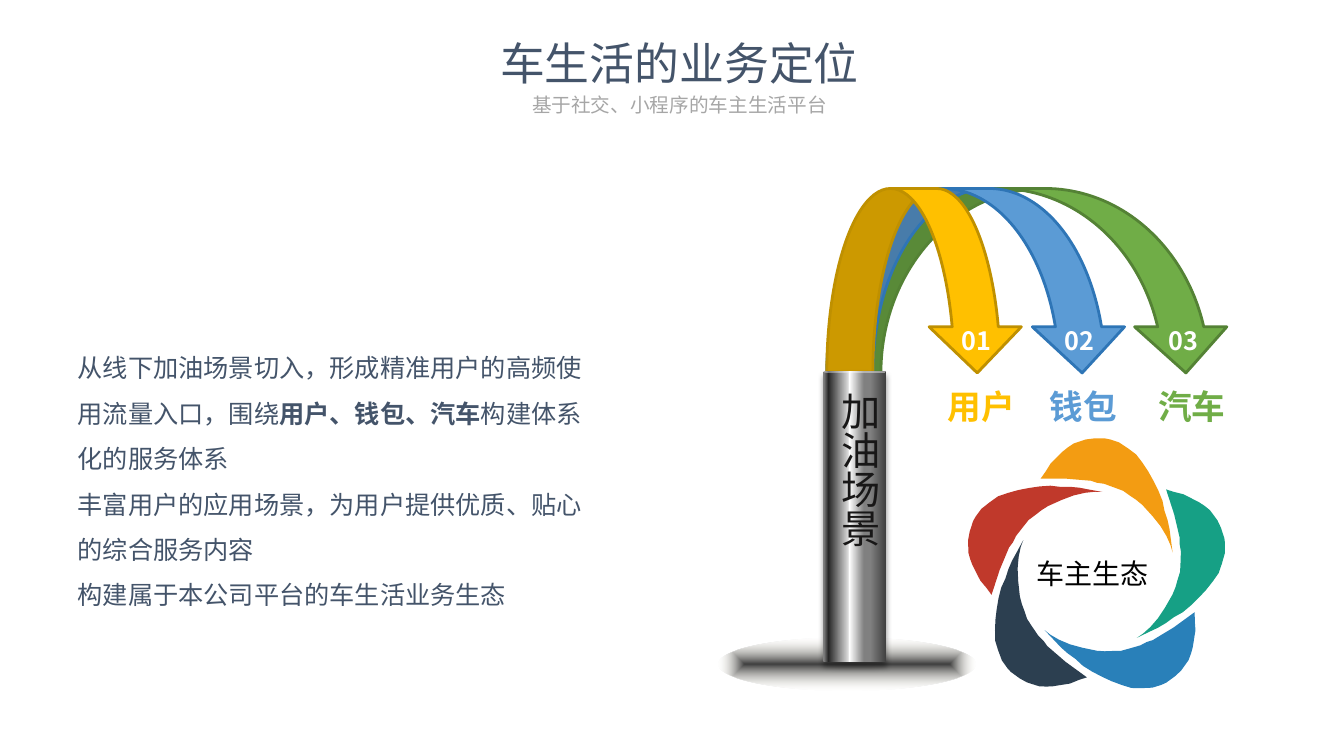
from dataclasses import dataclass
from math import cos, radians, sin

from lxml.etree import SubElement
from pptx import Presentation
from pptx.dml.color import RGBColor
from pptx.enum.shapes import MSO_SHAPE as Shape
from pptx.enum.text import MSO_ANCHOR as Anchor, MSO_AUTO_SIZE as AutoSize, PP_ALIGN as Align
from pptx.oxml.ns import qn
from pptx.util import Inches, Pt

FONT = "Noto Sans CJK SC"
NAVY = RGBColor(0x44, 0x54, 0x6A)
GRAY = RGBColor(0xA6, 0xA6, 0xA6)
INK = RGBColor(0x18, 0x17, 0x17)
BLACK = RGBColor(0, 0, 0)
WHITE = RGBColor(0xFF, 0xFF, 0xFF)
GOLD, DARK_GOLD = RGBColor(0xFF, 0xC0, 0x00), RGBColor(0xBF, 0x90, 0x00)
BLUE, DARK_BLUE = RGBColor(0x5B, 0x9B, 0xD5), RGBColor(0x2E, 0x75, 0xB6)
GREEN, DARK_GREEN = RGBColor(0x70, 0xAD, 0x47), RGBColor(0x54, 0x82, 0x35)

# Petals in clockwise order, starting with the top one
PETAL_COLORS = [
    RGBColor(0xF3, 0x9C, 0x12), RGBColor(0x16, 0xA0, 0x85), RGBColor(0x29, 0x80, 0xB9),
    RGBColor(0x2C, 0x3F, 0x50), RGBColor(0xC0, 0x39, 0x2B),
]
PETAL_CENTER = (10.87, 5.66)
TOP_PETAL = [
    (10.32, 4.75), (10.37, 4.68), (10.42, 4.6), (10.46, 4.56), (10.5, 4.52), (10.54, 4.48),
    (10.59, 4.44), (10.65, 4.4), (10.71, 4.38), (10.77, 4.36), (10.85, 4.35), (10.96, 4.35),
    (11.01, 4.36), (11.1, 4.39), (11.19, 4.45), (11.27, 4.51), (11.33, 4.59), (11.39, 4.68),
    (11.44, 4.77), (11.49, 4.87), (11.53, 4.97), (11.55, 5.07), (11.58, 5.16), (11.6, 5.25),
    (11.61, 5.33), (11.63, 5.48), (11.61, 5.41), (11.57, 5.32), (11.51, 5.22), (11.43, 5.12),
    (11.33, 5.01), (11.27, 4.96), (11.21, 4.92), (11.14, 4.87), (11.06, 4.84), (10.95, 4.8),
    (10.88, 4.79), (10.82, 4.77), (10.7, 4.76), (10.58, 4.75),
]


@dataclass
class Stream:
    number: str
    label: str
    color: RGBColor
    edge: RGBColor
    arrow_left: float
    arrow_width: float
    number_left: float
    label_left: float


@dataclass
class Stop:
    position: int
    color: str
    alpha: int = 100


STREAMS = [
    Stream("01", "用户", GOLD, DARK_GOLD, 8.2, 1.95, 9.4, 9.3),
    Stream("02", "钱包", BLUE, DARK_BLUE, 8.2, 2.99, 10.42, 10.31),
    Stream("03", "汽车", GREEN, DARK_GREEN, 8.28, 3.94, 11.45, 11.39),
]
BASE_STOPS = [Stop(0, "404040"), Stop(100, "EEECE1", 0)]
PIPE_STOPS = [
    Stop(2, "808080"), Stop(9, "262626"), Stop(40, "D9D9D9"), Stop(42, "FFFFFF"),
    Stop(65, "808080"), Stop(75, "808080"), Stop(100, "404040"),
]
# Every second part of a paragraph is bold
BODY = [
    ["从线下加油场景切入，形成精准用户的高频使用流量入口，围绕", "用户、钱包、汽车", "构建体系化的服务体系"],
    ["丰富用户的应用场景，为用户提供优质、贴心的综合服务内容"],
    ["构建属于本公司平台的车生活业务生态"],
]


def style_run(run, size: float, color: RGBColor, bold: bool = False) -> None:
    run.font.size, run.font.bold, run.font.name = Pt(size), bold, FONT
    run.font.color.rgb = color
    SubElement(run.font._element, qn("a:ea"), typeface=FONT)


def add_text(slide, text: str, left: float, top: float, width: float, height: float,
             size: float, color: RGBColor, bold: bool = False, align=Align.CENTER,
             wrap: bool = True):
    box = slide.shapes.add_textbox(Inches(left), Inches(top), Inches(width), Inches(height))
    box.text_frame.word_wrap = wrap
    paragraph = box.text_frame.paragraphs[0]
    paragraph.text, paragraph.alignment = text, align
    style_run(paragraph.runs[0], size, color, bold)
    return box


def add_preset(slide, kind: Shape, left: float, top: float, width: float, height: float):
    shape = slide.shapes.add_shape(kind, Inches(left), Inches(top), Inches(width), Inches(height))
    shape.shadow.inherit = False
    return shape


def fill_gradient(shape, stops: list[Stop], centered: bool) -> None:
    shape.line.fill.background()
    shape.fill.gradient()
    gradient = shape._element.spPr.find(qn("a:gradFill"))
    for child in list(gradient):
        gradient.remove(child)
    stop_list = SubElement(gradient, qn("a:gsLst"))
    for stop in stops:
        mark = SubElement(stop_list, qn("a:gs"), pos=str(stop.position * 1000))
        color = SubElement(mark, qn("a:srgbClr"), val=stop.color)
        if stop.alpha < 100:
            SubElement(color, qn("a:alpha"), val=str(stop.alpha * 1000))
    if centered:
        shade = SubElement(gradient, qn("a:path"), path="shape")
        SubElement(shade, qn("a:fillToRect"), l="50000", t="50000", r="50000", b="50000")
    else:
        SubElement(gradient, qn("a:lin"), ang="0", scaled="0")


def add_drop_shadow(shape) -> None:
    effects = shape._element.spPr.find(qn("a:effectLst"))
    shadow = SubElement(effects, qn("a:outerShdw"), blurRad=str(Pt(4)), dist=str(Pt(3)),
                        dir="5400000", rotWithShape="0")
    color = SubElement(shadow, qn("a:srgbClr"), val="000000")
    SubElement(color, qn("a:alpha"), val="40000")


def add_petal(slide, turn: float, color: RGBColor) -> None:
    center_x, center_y = PETAL_CENTER
    c, s = cos(radians(turn)), sin(radians(turn))
    points = [
        (Inches(center_x + (x - center_x) * c - (y - center_y) * s),
         Inches(center_y + (x - center_x) * s + (y - center_y) * c))
        for x, y in TOP_PETAL
    ]
    builder = slide.shapes.build_freeform(*points[0])
    builder.add_line_segments(points[1:], close=True)
    petal = builder.convert_to_shape()
    petal.shadow.inherit = False
    petal.fill.solid()
    petal.fill.fore_color.rgb = color
    petal.line.fill.background()


def add_heading(slide) -> None:
    title = slide.shapes.title
    title.left, title.top, title.width, title.height = map(Inches, (0.99, 0.19, 11.5, 0.76))
    frame = title.text_frame
    frame.text = "车生活的业务定位"
    frame.auto_size, frame.vertical_anchor = AutoSize.NONE, Anchor.BOTTOM
    frame.paragraphs[0].alignment = Align.CENTER
    frame.paragraphs[0].line_spacing = 0.9
    style_run(frame.paragraphs[0].runs[0], 32, NAVY)
    subtitle = add_text(slide, "基于社交、小程序的车主生活平台", 0.99, 0.9, 11.5, 0.55, 14, GRAY)
    subtitle.text_frame.paragraphs[0].line_spacing = 0.9


def add_body(slide) -> None:
    body = slide.shapes.add_textbox(Inches(0.77), Inches(3.35), Inches(5.22), Inches(2.73))
    frame = body.text_frame
    frame.word_wrap = True
    frame.margin_left = frame.margin_top = frame.margin_right = frame.margin_bottom = 0
    for index, parts in enumerate(BODY):
        paragraph = frame.add_paragraph() if index else frame.paragraphs[0]
        paragraph.line_spacing = 1.5
        for position, part in enumerate(parts):
            run = paragraph.add_run()
            run.text = part
            style_run(run, 18, NAVY, bold=position % 2 == 1)


def add_fountain(slide) -> None:
    base = add_preset(slide, Shape.OVAL, 7.13, 6.33, 2.54, 0.52)
    fill_gradient(base, BASE_STOPS, centered=True)
    # The widest arrow lies at the back
    for stream in reversed(STREAMS):
        arrow = add_preset(slide, Shape.CURVED_DOWN_ARROW, stream.arrow_left, 1.87,
                           stream.arrow_width, 1.83)
        arrow.fill.solid()
        arrow.fill.fore_color.rgb = stream.color
        arrow.line.color.rgb, arrow.line.width = stream.edge, Pt(2)
    pipe = add_preset(slide, Shape.CAN, 8.16, 3.68, 0.63, 2.89)
    pipe.adjustments[0] = 0.027
    fill_gradient(pipe, PIPE_STOPS, centered=False)
    add_drop_shadow(pipe)
    for stream in STREAMS:
        add_text(slide, stream.number, stream.number_left, 3.18, 0.57, 0.4, 18, WHITE, bold=True)
        add_text(slide, stream.label, stream.label_left, 3.78, 0.88, 0.5, 24, stream.color,
                 bold=True, align=Align.LEFT, wrap=False)
    scene = add_text(slide, "加油场景", 8.14, 3.79, 0.67, 1.83, 28, INK, align=Align.LEFT)
    scene.text_frame._txBody.bodyPr.set("vert", "eaVert")


def add_ecosystem(slide) -> None:
    for index, color in enumerate(PETAL_COLORS):
        add_petal(slide, index * 360 / len(PETAL_COLORS), color)
    add_text(slide, "车主生态", 10.15, 5.47, 1.38, 0.44, 20, BLACK)


def main() -> None:
    deck = Presentation()
    deck.slide_width, deck.slide_height = Inches(13.33), Inches(7.5)
    slide = deck.slides.add_slide(deck.slide_layouts[5])
    add_heading(slide)
    add_body(slide)
    add_fountain(slide)
    add_ecosystem(slide)
    deck.save("out.pptx")


if __name__ == "__main__":
    main()
